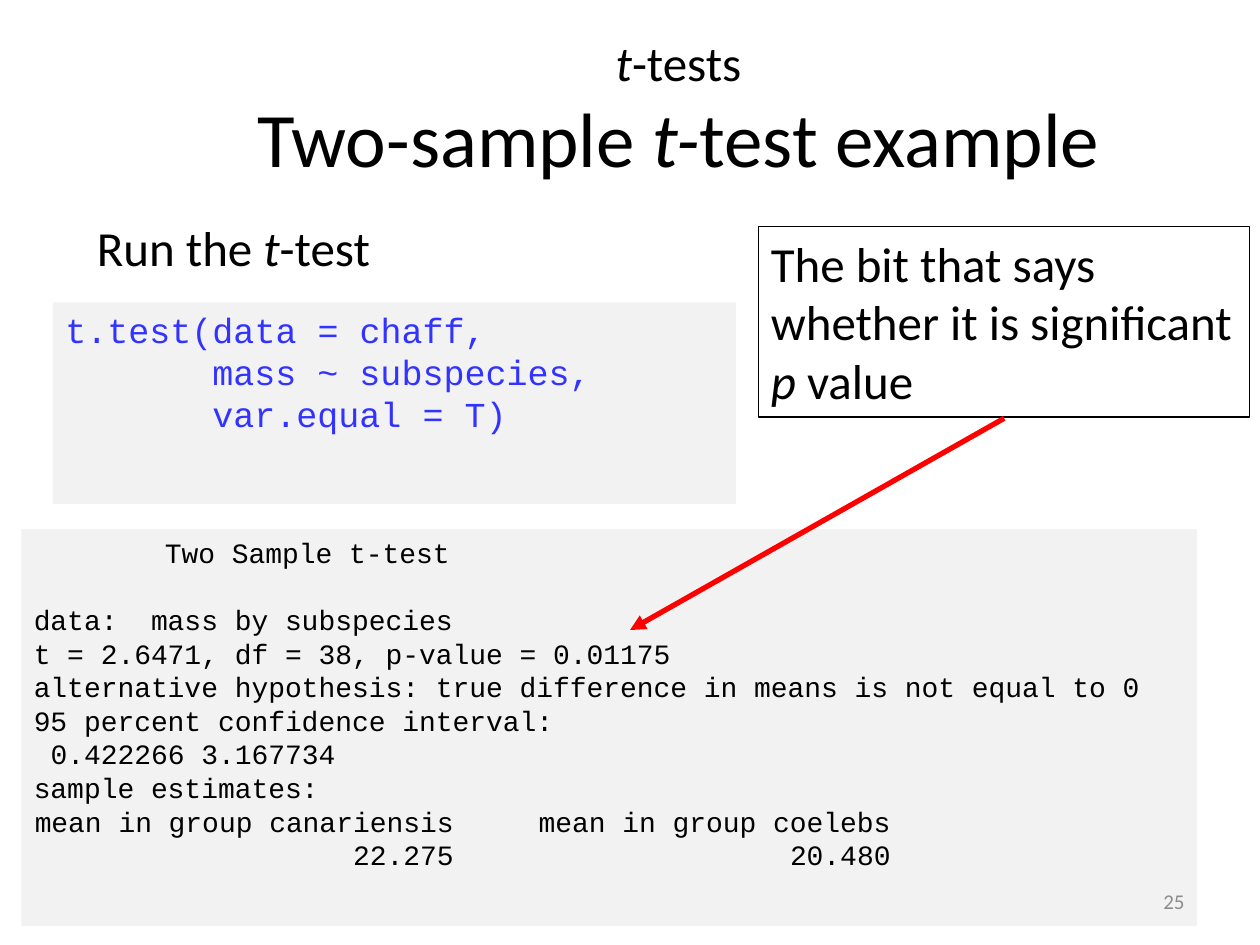
from lxml.etree import SubElement
from pptx import Presentation
from pptx.dml.color import RGBColor
from pptx.enum.shapes import MSO_CONNECTOR, MSO_SHAPE
from pptx.enum.text import MSO_ANCHOR, PP_ALIGN
from pptx.oxml.ns import qn
from pptx.util import Inches, Pt

BODY_FONT, CODE_FONT = "Calibri", "Courier New"
BLACK, PANEL, CODE_BLUE, RED, GREY = "000000", "F2F2F2", "3333FF", "FF0000", "8C8C8C"
LINE_RATIO = 1.2  # code line pitch relative to font size
CHAR_RATIO = 0.6  # monospace character width relative to font size

# Code lines: (text, indent in characters, blank lines before)
CALL_LINES = [
    ("t.test(data = chaff,", 0, 0),
    ("mass ~ subspecies,", 7, 0),
    ("var.equal = T)", 7, 0),
]
RESULT_LINES = [
    ("Two Sample t-test", 7.8, 0),
    ("data:  mass by subspecies", 0, 1),
    ("t = 2.6471, df = 38, p-value = 0.01175", 0, 0),
    ("alternative hypothesis: true difference in means is not equal to 0", 0, 0),
    ("95 percent confidence interval:", 0, 0),
    ("0.422266 3.167734", 1, 0),
    ("sample estimates:", 0, 0),
    ("\tmean in group canariensis\tmean in group coelebs", 0, 0),
    ("\t22.275\t20.480", 0, 0),
]
ESTIMATE_COLUMN_ENDS = (25, 51)  # in characters


def rgb(value):
    return RGBColor.from_string(value)


def apply_format(target, values):
    for name, value in values.items():
        setattr(target, name, value)


def add_run(paragraph, text, size, font=BODY_FONT, color=BLACK, italic=False):
    run = paragraph.add_run()
    run.text = text
    apply_format(run.font, {"name": font, "size": Pt(size), "italic": italic})
    run.font.color.rgb = rgb(color)


def add_box(slide, box, fill=None, line=None):
    shape = slide.shapes.add_shape(MSO_SHAPE.RECTANGLE, *map(Inches, box))
    shape.shadow.inherit = False
    if fill:
        shape.fill.solid()
        shape.fill.fore_color.rgb = rgb(fill)
    else:
        shape.fill.background()
    if line:
        shape.line.color.rgb = rgb(line)
        shape.line.width = Pt(0.75)
    else:
        shape.line.fill.background()
    return shape


def write_text(shape, lines, align=PP_ALIGN.LEFT, anchor=MSO_ANCHOR.TOP):
    """Each line is a list of runs: (text, size, further add_run options)."""
    frame = shape.text_frame
    apply_format(frame, {"word_wrap": True, "vertical_anchor": anchor})
    paragraph = frame.paragraphs[0]
    paragraph.alignment = align
    for index, runs in enumerate(lines):
        if index:
            paragraph.add_line_break()
        for text, size, options in runs:
            add_run(paragraph, text, size, **options)


def add_text(slide, box, lines, **layout):
    write_text(slide.shapes.add_textbox(*map(Inches, box)), lines, **layout)


def add_right_tabs(paragraph, positions):
    tabs = SubElement(paragraph._p.get_or_add_pPr(), qn("a:tabLst"))
    for position in positions:
        SubElement(tabs, qn("a:tab"), pos=str(int(position)), algn="r")


def add_code(slide, box, lines, size, color, tab_columns=()):
    frame = add_box(slide, box, fill=PANEL).text_frame
    apply_format(frame, {"word_wrap": True, "vertical_anchor": MSO_ANCHOR.TOP})
    for index, (text, indent, blank_lines) in enumerate(lines):
        paragraph = frame.add_paragraph() if index else frame.paragraphs[0]
        apply_format(paragraph, {
            "alignment": PP_ALIGN.LEFT,
            "line_spacing": Pt(size * LINE_RATIO),
            "space_before": Pt(size * LINE_RATIO * blank_lines),
        })
        character = Pt(size * CHAR_RATIO)
        paragraph._p.get_or_add_pPr().set("marL", str(int(character * indent)))
        if "\t" in text:
            add_right_tabs(paragraph, [character * column for column in tab_columns])
        add_run(paragraph, text, size, CODE_FONT, color)


def add_arrow(slide, start, end, color, width):
    points = map(Inches, (*start, *end))
    arrow = slide.shapes.add_connector(MSO_CONNECTOR.STRAIGHT, *points)
    arrow.line.color.rgb = rgb(color)
    arrow.line.width = Pt(width)
    SubElement(arrow.line._get_or_add_ln(), qn("a:tailEnd"), type="triangle")
    SubElement(arrow._element.spPr, qn("a:effectLst"))


def main():
    presentation = Presentation()
    presentation.slide_width, presentation.slide_height = Inches(10), Inches(7.5)
    slide = presentation.slides.add_slide(presentation.slide_layouts[6])
    italic = {"italic": True}

    # Test output and page number
    add_code(slide, (0.17, 4.2, 9.33, 3.15), RESULT_LINES, 16, BLACK, ESTIMATE_COLUMN_ENDS)
    add_text(slide, (7.17, 6.95, 2.33, 0.4), [[("25", 12, {"color": GREY})]],
             align=PP_ALIGN.RIGHT, anchor=MSO_ANCHOR.MIDDLE)

    # Title and step heading
    add_text(slide, (1.67, 0.2, 7.43, 1.31), [
        [("t", 28, italic), ("-tests", 28, {})],
        [("Two-sample ", 44, {}), ("t-", 44, italic), ("test example", 44, {})],
    ], align=PP_ALIGN.CENTER, anchor=MSO_ANCHOR.MIDDLE)
    add_text(slide, (0.67, 1.68, 9.08, 0.57),
             [[("Run the ", 28, {}), ("t", 28, italic), ("-test", 28, {})]])

    # Function call
    add_code(slide, (0.42, 2.4, 5.42, 1.6), CALL_LINES, 20, CODE_BLUE)

    # Callout pointing at the p value
    callout = add_box(slide, (6.02, 1.8, 3.9, 1.51), line=BLACK)
    write_text(callout, [[("The bit that says whether it is significant ", 28, {}),
                          ("p", 28, italic), (" value", 28, {})]])
    add_arrow(slide, (7.97, 3.32), (5, 5), RED, 3)

    presentation.save("out.pptx")


if __name__ == "__main__":
    main()
